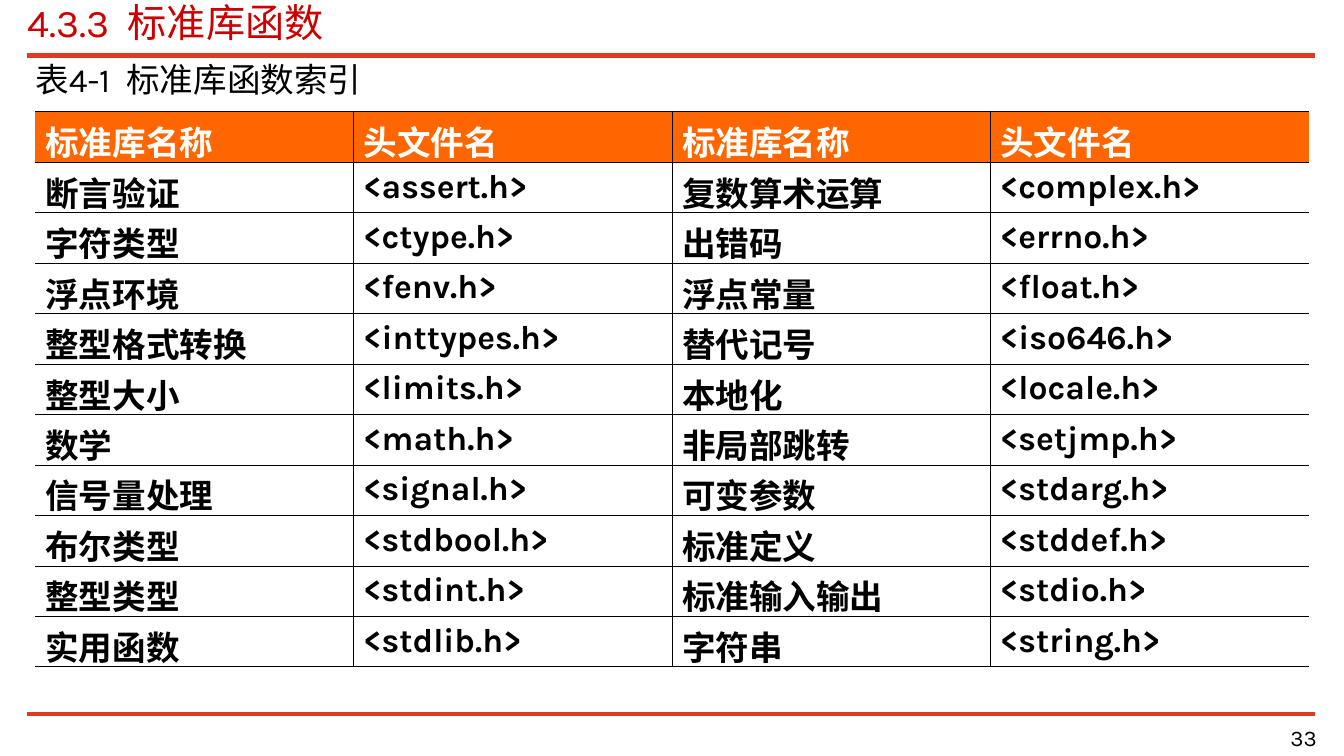
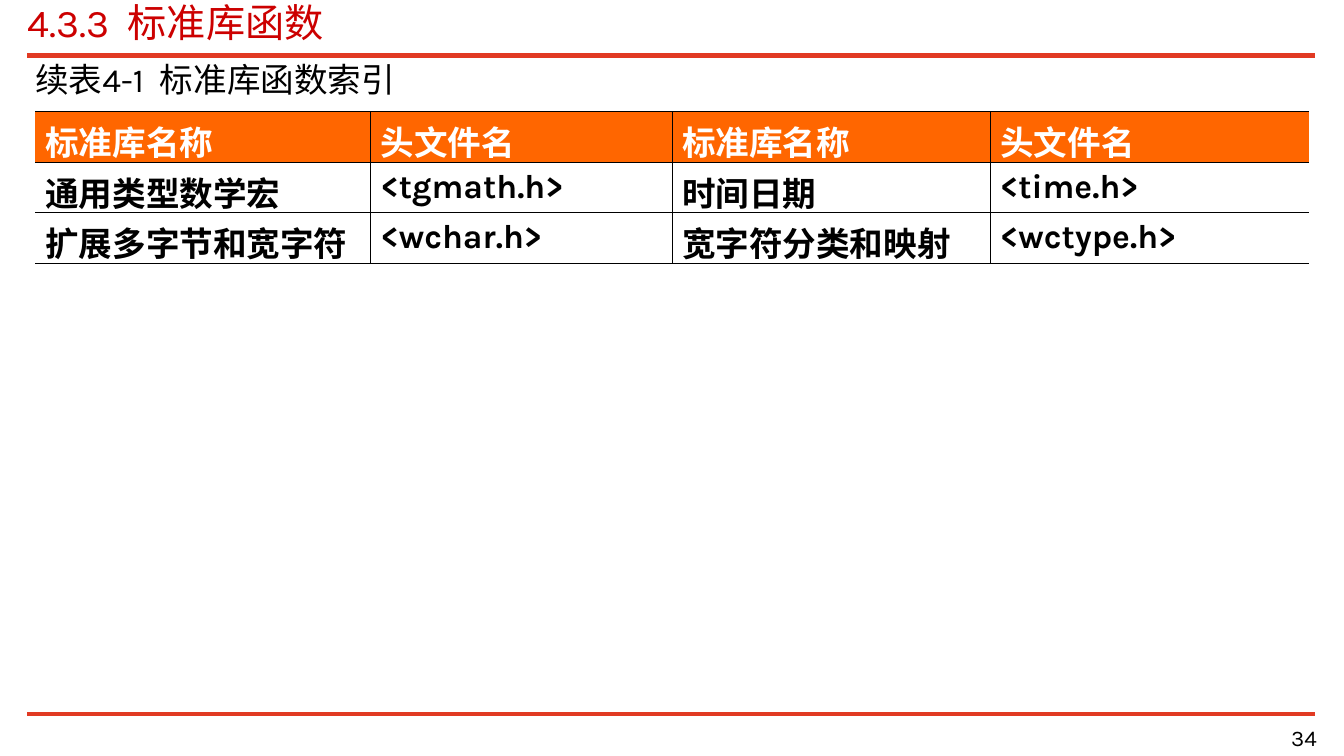
from dataclasses import dataclass

from lxml import etree
from pptx import Presentation
from pptx.dml.color import RGBColor
from pptx.enum.shapes import MSO_CONNECTOR
from pptx.enum.text import MSO_ANCHOR, MSO_AUTO_SIZE, PP_ALIGN
from pptx.oxml.ns import qn
from pptx.util import Inches, Pt

LEFT, RIGHT = PP_ALIGN.LEFT, PP_ALIGN.RIGHT
TOP, MIDDLE = MSO_ANCHOR.TOP, MSO_ANCHOR.MIDDLE
STRAIGHT, NO_FIT = MSO_CONNECTOR.STRAIGHT, MSO_AUTO_SIZE.NONE


@dataclass(frozen=True)
class Theme:
    font: str = "Karla"
    title: str = "CC0000"
    rule: str = "E13A23"
    header: str = "FF6600"
    text: str = "000000"
    light: str = "FFFFFF"
    title_size: int = 28
    body_size: int = 24
    number_size: int = 16
    row_line: float = 0.45
    edge_line: float = 0.62


T = Theme()
WIDTH, HEIGHT = 13.34, 7.5
MARGIN, CONTENT = 0.27, 12.78
TABLE_LEFT, TABLE_TOP, ROW = 0.35, 1.11, 0.5
FIRST_NUMBER = 33
TITLE = "4.3.3  标准库函数"
HEADER = ("标准库名称", "头文件名") * 2
RULES = [(0.55, 4), (7.08, 3)]

PAGES = [
    ("表4-1  标准库函数索引", (3.16, 3.16, 3.16, 3.16), [
        ("断言验证", "<assert.h>", "复数算术运算", "<complex.h>"),
        ("字符类型", "<ctype.h>", "出错码", "<errno.h>"),
        ("浮点环境", "<fenv.h>", "浮点常量", "<float.h>"),
        ("整型格式转换", "<inttypes.h>", "替代记号", "<iso646.h>"),
        ("整型大小", "<limits.h>", "本地化", "<locale.h>"),
        ("数学", "<math.h>", "非局部跳转", "<setjmp.h>"),
        ("信号量处理", "<signal.h>", "可变参数", "<stdarg.h>"),
        ("布尔类型", "<stdbool.h>", "标准定义", "<stddef.h>"),
        ("整型类型", "<stdint.h>", "标准输入输出", "<stdio.h>"),
        ("实用函数", "<stdlib.h>", "字符串", "<string.h>"),
    ]),
    ("续表4-1  标准库函数索引", (3.33, 2.99, 3.16, 3.16), [
        ("通用类型数学宏", "<tgmath.h>", "时间日期", "<time.h>"),
        ("扩展多字节和宽字符", "<wchar.h>", "宽字符分类和映射", "<wctype.h>"),
    ]),
]


def write(tf, text, size=T.body_size, color=T.text, bold=False, align=LEFT,
          anchor=TOP, inset=(0, 0), spacing=None, before=None):
    tf.word_wrap = True
    tf.vertical_anchor = anchor
    tf.margin_left = tf.margin_right = Inches(inset[0])
    tf.margin_top = tf.margin_bottom = Inches(inset[1])
    p = tf.paragraphs[0]
    p.alignment, p.line_spacing, p.space_before = align, spacing, before
    r = p.add_run()
    r.text = text
    r.font.name, r.font.size, r.font.bold = T.font, Pt(size), bold
    r.font.color.rgb = RGBColor.from_string(color)


def add_border(cell, side, width):
    """Add one cell edge; a width of 0 leaves that edge undrawn."""
    ln = etree.SubElement(cell._tc.get_or_add_tcPr(), qn(f"a:ln{side}"), w=str(Pt(width)))
    if width:
        fill = etree.SubElement(ln, qn("a:solidFill"))
        etree.SubElement(fill, qn("a:srgbClr"), val=T.text)
    else:
        etree.SubElement(ln, qn("a:noFill"))


prs = Presentation()
prs.slide_width, prs.slide_height = Inches(WIDTH), Inches(HEIGHT)
layout = prs.slide_layouts.get_by_name("Title Only")
title = layout.placeholders[0]
title.left, title.top = Inches(MARGIN), Inches(0.04)
title.width, title.height = Inches(CONTENT), Inches(0.47)
slides = [prs.slides.add_slide(layout) for _ in PAGES]

# The rules are shared, so they move from the first slide to the layout.
for shape_id, (y, weight) in enumerate(RULES, 101):
    rule = slides[0].shapes.add_connector(
        STRAIGHT, Inches(MARGIN), Inches(y), Inches(MARGIN + CONTENT), Inches(y))
    rule.line.color.rgb = RGBColor.from_string(T.rule)
    rule.line.width = Pt(weight)
    etree.SubElement(rule.element.spPr, qn("a:effectLst"))
    rule.element.xpath(".//p:cNvPr")[0].set("id", str(shape_id))
    layout.shapes.element.append(rule.element)

for number, (s, (caption, widths, body)) in enumerate(zip(slides, PAGES), FIRST_NUMBER):
    tf = s.shapes.title.text_frame
    tf.auto_size = NO_FIT
    write(tf, TITLE, size=T.title_size, color=T.title, spacing=0.9)

    box = s.shapes.add_textbox(Inches(TABLE_LEFT), Inches(0.63), Inches(12.64), Inches(0.4))
    write(box.text_frame, caption, spacing=0.9)

    rows = [HEADER, *body]
    table = s.shapes.add_table(
        len(rows), len(widths), Inches(TABLE_LEFT), Inches(TABLE_TOP),
        Inches(sum(widths)), Inches(ROW * len(rows))).table
    table.horz_banding = False
    for column, width in zip(table.columns, widths):
        column.width = Inches(width)
    for i, row in enumerate(rows):
        is_header = i == 0
        for j, text in enumerate(row):
            cell = table.cell(i, j)
            write(cell.text_frame, text, color=T.light if is_header else T.text,
                  bold=True, before=Pt(6))
            cell.margin_left = cell.margin_right = Inches(0.1)
            cell.margin_top = cell.margin_bottom = Inches(0.05)
            add_border(cell, "L", T.row_line if j else 0)
            add_border(cell, "R", T.row_line if j < len(row) - 1 else 0)
            add_border(cell, "T", T.edge_line if i < 2 else T.row_line)
            add_border(cell, "B", T.edge_line if i in (0, len(rows) - 1) else T.row_line)
            if is_header:
                cell.fill.solid()
                cell.fill.fore_color.rgb = RGBColor.from_string(T.header)
            else:
                cell.fill.background()

    box = s.shapes.add_textbox(Inches(10.39), Inches(7.16), Inches(2.68), Inches(0.31))
    write(box.text_frame, str(number), size=T.number_size, align=RIGHT, anchor=MIDDLE)

prs.save("out.pptx")
